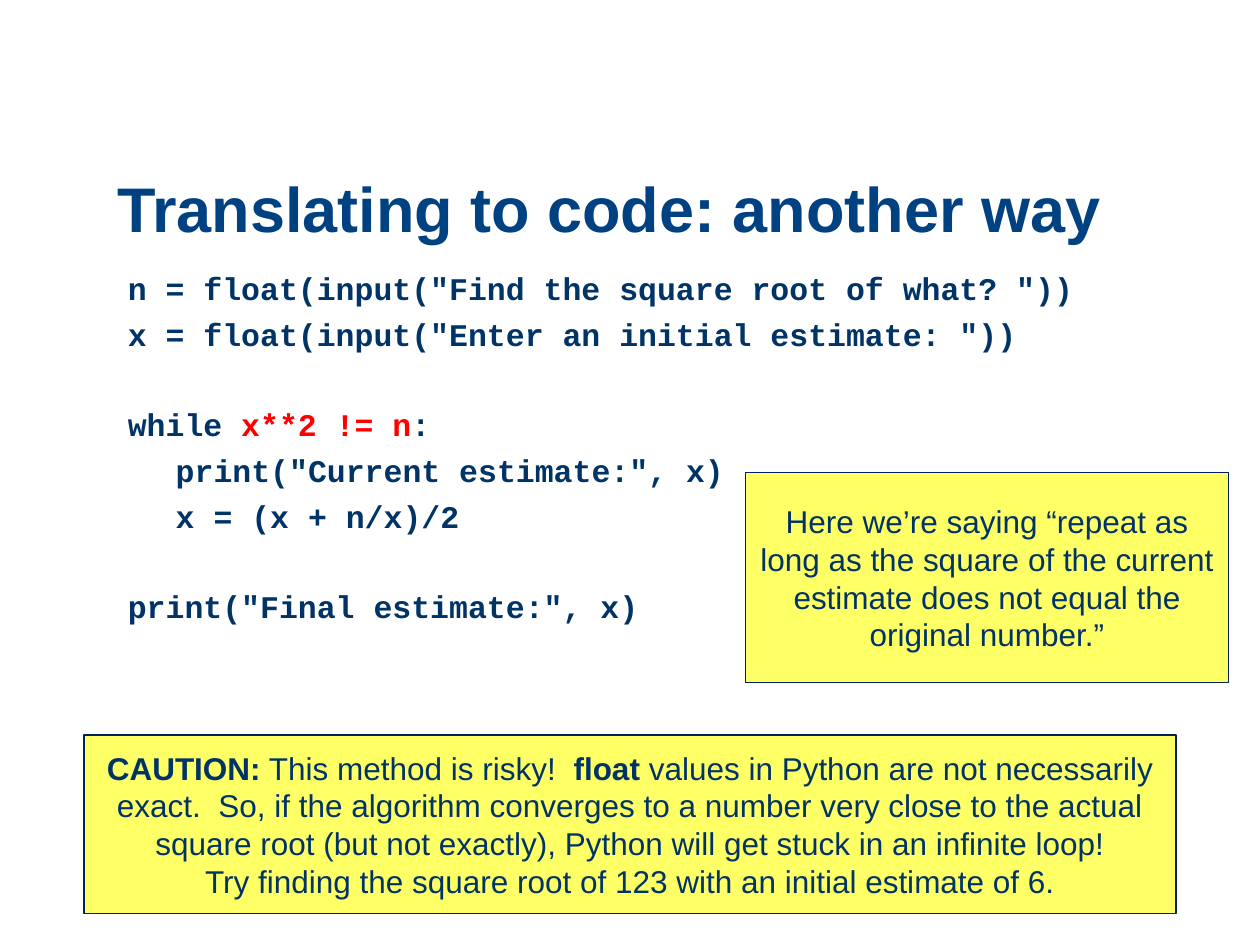
import pptx
import pptx.dml.color
import pptx.enum.shapes
import pptx.enum.text
import pptx.util

ALIGN = pptx.enum.text.PP_ALIGN
ANCHOR = pptx.enum.text.MSO_ANCHOR

# Grid of 120 columns by 90 rows
CELL = pptx.util.Inches(10) // 120
NAVY, TITLE_BLUE, RED = "003366", "004182", "FF0000"
NOTE_FILL, NOTE_LINE = "FFFF66", "002060"

# Each code line: space before in points, then (text, colour) pieces
LINE_GAP, BLOCK_GAP = 4.7, 29.8
CODE = [
    (LINE_GAP, [('n = float(input("Find the square root of what? "))', NAVY)]),
    (LINE_GAP, [('x = float(input("Enter an initial estimate: "))', NAVY)]),
    (BLOCK_GAP, [("while ", NAVY), ("x**2 != n", RED), (":", NAVY)]),
    (LINE_GAP, [('\tprint("Current estimate:", x)', NAVY)]),
    (LINE_GAP, [("\tx = (x + n/x)/2", NAVY)]),
    (BLOCK_GAP, [('print("Final estimate:", x)', NAVY)]),
]

# Each note: lines of (text, bold) pieces
MEANING = [[("Here we’re saying “repeat as long as the square of the current "
             "estimate does not equal the original number.”", False)]]
CAUTION = [
    [("CAUTION:", True), (" This method is risky!  ", False), ("float", True),
     (" values in Python are not necessarily exact.  So, if the algorithm "
      "converges to a number very close to the actual square root (but not "
      "exactly), Python will get stuck in an infinite loop!", False)],
    [("Try finding the square root of 123 with an initial estimate of 6.", False)],
]


def color(hex_code):
    return pptx.dml.color.RGBColor.from_string(hex_code)


def grid(*cells):
    return [cell * CELL for cell in cells]


def set_font(font, name, size):
    font.name = name
    font.size = pptx.util.Pt(size)


def add_title(slide, area, text):
    frame = slide.shapes.add_textbox(*grid(*area)).text_frame
    frame.word_wrap = True
    frame.vertical_anchor = ANCHOR.BOTTOM
    heading = frame.paragraphs[0]
    heading.text = text
    heading.line_spacing = 0.9
    set_font(heading.font, "Arial", 36)
    heading.font.bold = True
    heading.font.color.rgb = color(TITLE_BLUE)


def add_code(slide, area, lines):
    frame = slide.shapes.add_textbox(*grid(*area)).text_frame
    frame.word_wrap = True
    for number, (gap, pieces) in enumerate(lines):
        line = frame.add_paragraph() if number else frame.paragraphs[0]
        line.space_before = pptx.util.Pt(gap)
        set_font(line.font, "Courier New", 18)
        line.font.bold = True
        # Hanging indent: a leading tab lands on the left margin
        properties = line._p.get_or_add_pPr()
        indent = pptx.util.Inches(0.38)
        properties.set("marL", str(indent))
        properties.set("indent", str(-indent))
        for text, tint in pieces:
            piece = line.add_run()
            piece.text = text
            piece.font.color.rgb = color(tint)


def add_note(slide, area, lines):
    note = slide.shapes.add_shape(
        pptx.enum.shapes.MSO_SHAPE.RECTANGLE, *grid(*area))
    note.shadow.inherit = False
    note.fill.solid()
    note.fill.fore_color.rgb = color(NOTE_FILL)
    note.line.color.rgb = color(NOTE_LINE)
    note.line.width = pptx.util.Pt(0.75)
    frame = note.text_frame
    frame.word_wrap = True
    frame.vertical_anchor = ANCHOR.MIDDLE
    message = frame.paragraphs[0]
    message.alignment = ALIGN.CENTER
    set_font(message.font, "Arial", 18)
    message.font.color.rgb = color(NAVY)
    for number, pieces in enumerate(lines):
        if number:
            message.add_line_break()
        for text, bold in pieces:
            piece = message.add_run()
            piece.text = text
            piece.font.bold = bold


def main():
    deck = pptx.Presentation()
    deck.slide_width, deck.slide_height = grid(120, 90)
    slide = deck.slides.add_slide(deck.slide_layouts[6])

    # Heading and program
    add_title(slide, (10, 13, 104, 11), "Translating to code: another way")
    add_code(slide, (11, 25, 101, 57), CODE)

    # Explanations
    add_note(slide, (71, 45, 46, 20), MEANING)
    add_note(slide, (8, 70, 104, 17), CAUTION)

    deck.save("out.pptx")


main()
